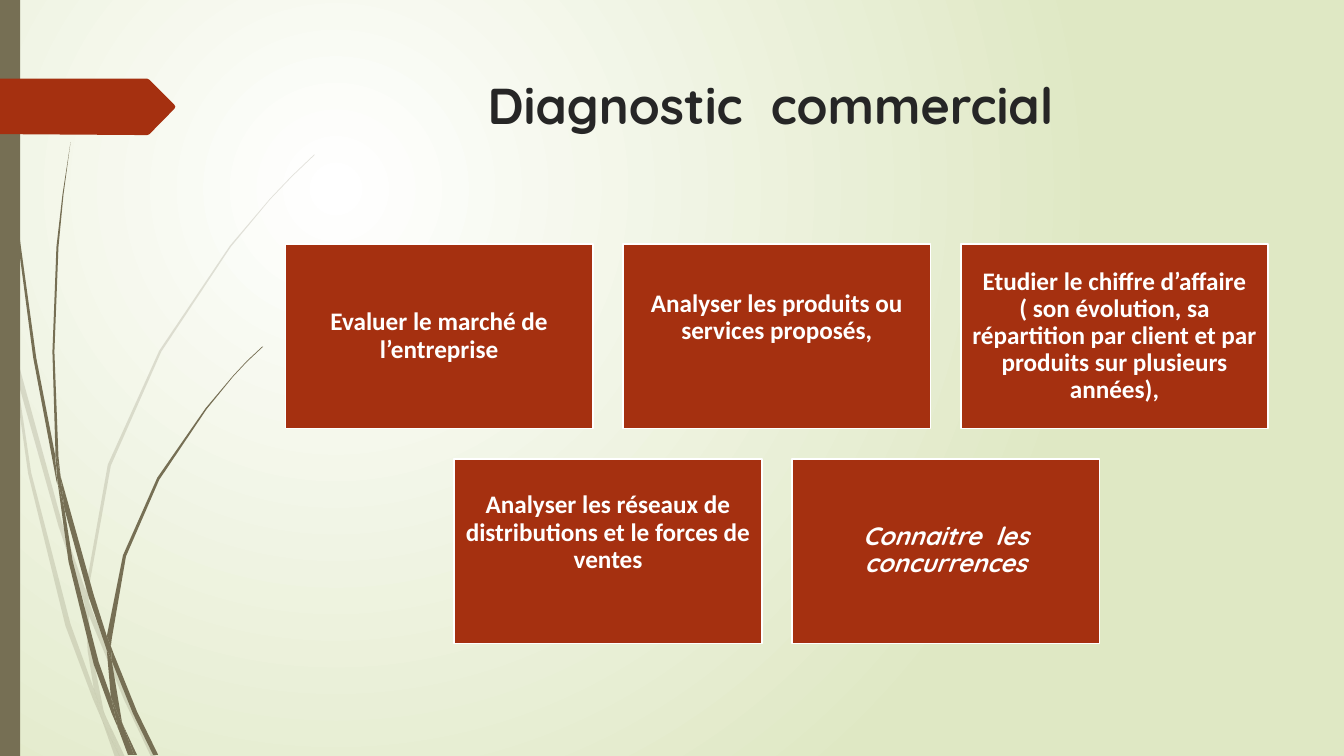
import pptx
import pptx.util
import pptx.dml.color
import pptx.enum.shapes
import pptx.enum.text
import pptx.oxml
import pptx.oxml.ns
from lxml import etree

Pt = pptx.util.Pt
qn = pptx.oxml.ns.qn

COLORS = {"centre": "FFFFFF", "edge": "DFE8C4", "grass": "766F54",
          "accent": "A53010", "title": "262626", "white": "FFFFFF"}

TITLE = "Diagnostic  commercial "
# Each card: text, font, italic, extra bottom inset that lifts the text
CARD_ROWS = [
    [("Evaluer le marché de l’entreprise", "Calibri", False, 0),
     ("Analyser les produits ou services proposés,", "Calibri", False, 26),
     ("Etudier le chiffre d’affaire ( son évolution, sa répartition par client "
      "et par produits sur plusieurs années),", "Calibri", False, 0)],
    [("Analyser les réseaux de distributions et le forces de ventes",
      "Calibri", False, 26),
     ("Connaitre  les concurrences", "Quicksand", True, 0)],
]

# Outlines of the blades of grass; coordinates count units of UNIT points
UNIT = 0.72
PALE_BLADES = [
    "11,350 9,322 0,282 0,299 10,344",
    "58,522 84,599 85,586 62,520 14,345 17,376",
    "92,607 88,596 88,610 123,694 150,751 155,751 127,692",
    "119,751 124,751 105,711",
    "93,683 70,619 31,469 17,376 11,350 28,470 65,621 92,693 101,714 99,707",
    "84,599 87,646 93,683 96,692 105,711 103,706 91,646 88,610 88,608",
    "88,584 110,462 160,349 229,245 268,198 290,175 312,154 312,153 289,175 268,197 "
    "228,244 158,348 107,461 85,584 85,586 88,596",
    "101,714 114,751 119,751",
    "88,608 88,610 88,596 85,586 84,599",
    "96,692 93,683 99,707 101,714 119,751 105,711",
]
DARK_BLADES = [
    "7,110 17,233 33,355 56,477 57,481 55,457 55,453 36,355 19,232 8,109 5,48 4,0 3,0 4,48",
    "88,592 106,645 106,633 106,631 93,590 60,472 64,505",
    "113,649 110,641 111,656 132,708 152,749 157,749 136,706",
    "110,691 98,657 72,556 64,505 57,477 68,557 93,659 111,708 117,722 116,717",
    "60,472 58,453 54,349 58,245 63,193 70,141 62,193 56,245 52,349 55,449",
    "133,749 136,749 122,719",
    "57,477 64,505 60,472 55,449 55,453",
    "111,633 125,552 158,476 205,406 231,374 245,359 261,344 260,344 245,358 231,373 "
    "204,405 156,474 122,551 106,631 110,641",
    "117,722 127,749 131,749",
    "106,645 110,691 116,706 122,719 121,716 111,656 109,651",
    "106,645 109,651 111,656 110,641 106,631 106,633",
    "116,706 110,691 116,717 117,722 130,749 133,749 122,719",
]
ARROW = [(0, 56.2), (105.2, 56.2), (106.8, 57), (124.6, 74.9), (125.2, 76.3),
         (124.6, 77.7), (106.8, 95.8), (105.2, 96.5), (0, 95.8)]


def color(name):
    return pptx.dml.color.RGBColor.from_string(COLORS[name])


def paint(shape, name):
    shape.shadow.inherit = False
    shape.fill.solid()
    shape.fill.fore_color.rgb = color(name)
    shape.line.fill.background()


def draw_outline(shapes, points, name):
    corners = [(Pt(x), Pt(y)) for x, y in points]
    builder = shapes.build_freeform(*corners[0], scale=1.0)
    builder.add_line_segments(corners[1:], close=True)
    shape = builder.convert_to_shape()
    paint(shape, name)
    return shape


deck = pptx.Presentation()
deck.slide_width, deck.slide_height = Pt(960), Pt(540)
page = deck.slides.add_slide(deck.slide_layouts[5])

# Background: circular gradient
backdrop = page.background.fill
backdrop.gradient()
for stop, name in zip(backdrop.gradient_stops, ("centre", "edge")):
    stop.color.rgb = color(name)
gradient = page.element.find(".//" + qn("a:gradFill"))
gradient.remove(gradient.find(qn("a:lin")))
circle = etree.SubElement(gradient, qn("a:path"), {"path": "circle"})
etree.SubElement(circle, qn("a:fillToRect"),
                 {"l": "50000", "t": "50000", "r": "100000", "b": "100000"})

# Grass
for blades, opacity in ((PALE_BLADES, 20), (DARK_BLADES, 100)):
    tuft = page.shapes.add_group_shape()
    for blade in blades:
        points = [[int(part) * UNIT for part in pair.split(",")]
                  for pair in blade.split()]
        leaf = draw_outline(tuft.shapes, points, "grass")
        if opacity < 100:
            tone = leaf.element.spPr.find(qn("a:solidFill")).find(qn("a:srgbClr"))
            etree.SubElement(tone, qn("a:alpha"), {"val": str(opacity * 1000)})

# Side bar and arrow
RECTANGLE = pptx.enum.shapes.MSO_SHAPE.RECTANGLE
side_bar = page.shapes.add_shape(RECTANGLE, 0, 0, Pt(14.4), Pt(540))
paint(side_bar, "grass")
draw_outline(page.shapes, ARROW, "accent")

# Title
title = page.shapes.title
title.left, title.top, title.width, title.height = Pt(204.5), Pt(49), Pt(702), Pt(100.8)
frame = title.text_frame
frame.auto_size = pptx.enum.text.MSO_AUTO_SIZE.NONE
frame.vertical_anchor = pptx.enum.text.MSO_ANCHOR.TOP
frame.text = TITLE
para = frame.paragraphs[0]
para.alignment = pptx.enum.text.PP_ALIGN.CENTER
para.font.name, para.font.size, para.font.bold = "Quicksand", Pt(36), True
para.font.color.rgb = color("title")

# Cards: each row is centred on the same axis
CARD_WIDTH, CARD_HEIGHT, GAP = 219.6, 131.8, 21.6
CENTRE, FIRST_TOP, INSET = 554.9, 174.4, 5
for row, cards in enumerate(CARD_ROWS):
    row_width = len(cards) * (CARD_WIDTH + GAP) - GAP
    top = FIRST_TOP + row * (CARD_HEIGHT + GAP)
    for column, (text, font, italic, lift) in enumerate(cards):
        left = CENTRE - row_width / 2 + column * (CARD_WIDTH + GAP)
        card = page.shapes.add_shape(RECTANGLE, Pt(left), Pt(top),
                                     Pt(CARD_WIDTH), Pt(CARD_HEIGHT))
        paint(card, "accent")
        card.line.color.rgb = color("white")
        card.line.width = Pt(1.25)
        frame = card.text_frame
        frame.word_wrap = True
        frame.vertical_anchor = pptx.enum.text.MSO_ANCHOR.MIDDLE
        frame.margin_left = frame.margin_right = frame.margin_top = Pt(INSET)
        frame.margin_bottom = Pt(INSET + lift)
        frame.text = text
        para = frame.paragraphs[0]
        para.alignment = pptx.enum.text.PP_ALIGN.CENTER
        para.line_spacing = 0.9
        para.font.name, para.font.size = font, Pt(18)
        para.font.bold, para.font.italic = True, italic
        para.font.color.rgb = color("white")

deck.save("out.pptx")
